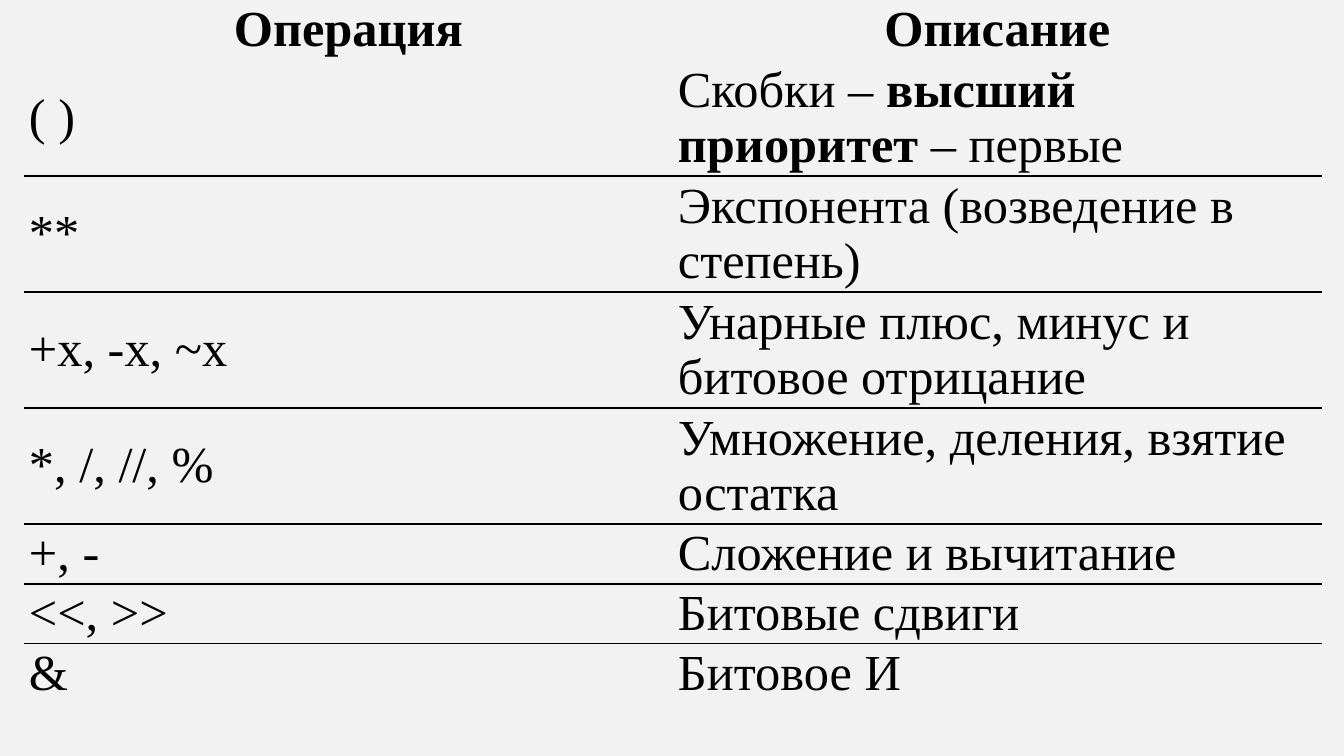
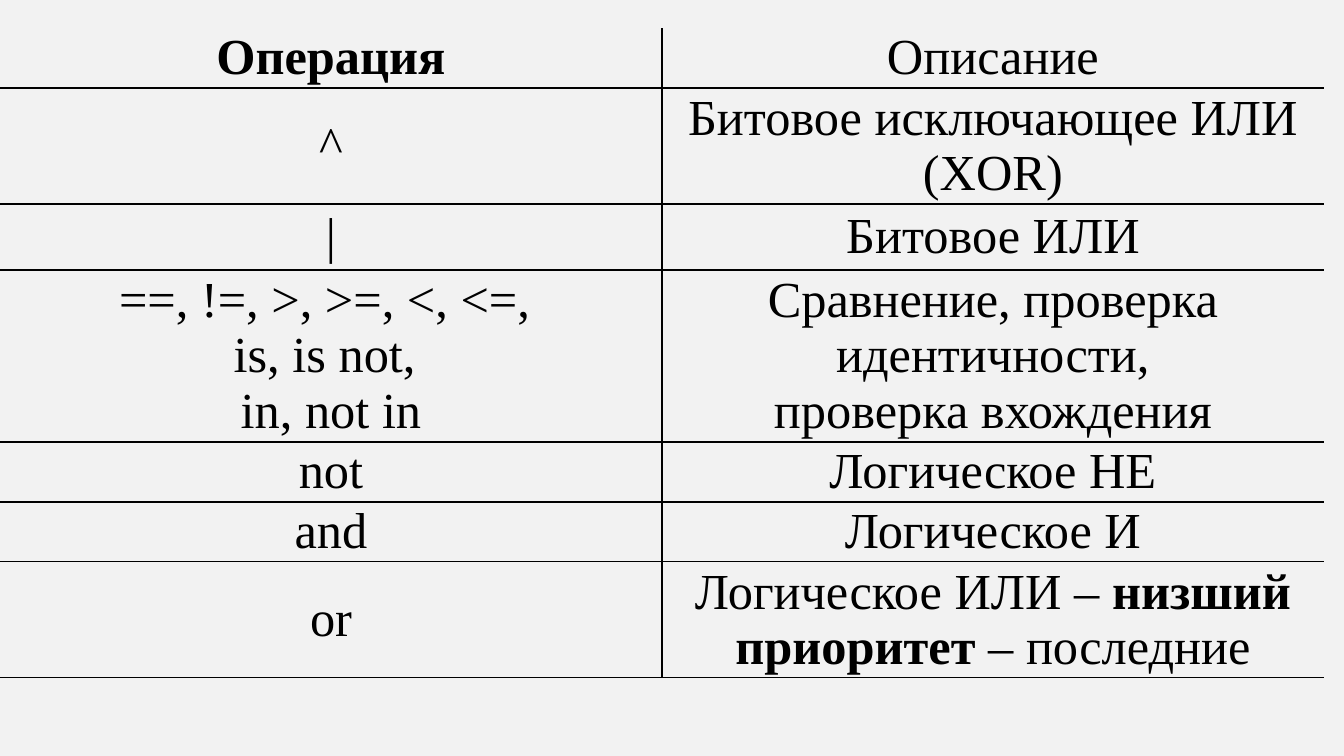
from lxml import etree
from pptx import Presentation
from pptx.dml.color import RGBColor
from pptx.enum.text import MSO_ANCHOR, PP_ALIGN
from pptx.oxml.ns import qn
from pptx.util import Emu, Pt

COLORS = {"back": "F2F2F2", "ink": "000000"}
FONT, SIZE = "Times New Roman", 36
PLAIN_STYLE = "{2D5ABB26-0587-4C30-8999-92F81FD0307C}"
WIDTH, HEIGHT = 1344, 756
ONE, TWO, THREE = 60, 116, 172  # row heights by number of text lines

# A cell is a tuple of runs; every second run is bold. "\n" breaks a line.
TABLES = [
    {
        "at": (24, 0), "column": 649, "align": PP_ALIGN.LEFT,
        "ruled": range(1, 6), "split": False,
        "rows": [
            (ONE, ("", "Операция"), ("", "Описание")),
            (TWO, ("( )",), ("Скобки – ", "высший приоритет", " – первые")),
            (TWO, ("**",), ("Экспонента (возведение в степень)",)),
            (TWO, ("+x, -x, ~x",), ("Унарные плюс, минус и битовое отрицание",)),
            (TWO, ("*, /, //, %",), ("Умножение, деления, взятие остатка",)),
            (ONE, ("+, -",), ("Сложение и вычитание",)),
            (ONE, ("<<, >>",), ("Битовые сдвиги",)),
            (ONE, ("&",), ("Битовое И",)),
        ],
    },
    {
        "at": (0, 28), "column": 662, "align": PP_ALIGN.CENTER,
        "ruled": range(7), "split": True,
        "rows": [
            (ONE, ("", "Операция"), ("Описание",)),
            (TWO, ("^",), ("Битовое исключающее ИЛИ (XOR)",)),
            (66, ("|",), ("Битовое ИЛИ",)),
            (THREE, ("==, !=, >, >=, <, <=, \nis, is not, \nin, not in",),
             ("Сравнение, проверка идентичности,\nпроверка вхождения",)),
            (ONE, ("not",), ("Логическое НЕ",)),
            (ONE, ("and",), ("Логическое И",)),
            (TWO, ("or",),
             ("Логическое ИЛИ – ", "низший приоритет", " – последние")),
        ],
    },
]


def px(length):
    return Emu(round(length * 914400 / 100.8))


def rgb(name):
    return RGBColor.from_string(COLORS[name])


def add_run(para, text, bold):
    run = para.add_run()
    run.text = text
    font = run.font
    font.name, font.size, font.bold = FONT, Pt(SIZE), bold
    font.color.rgb = rgb("ink")


def write(cell, runs, align):
    cell.fill.background()
    cell.vertical_anchor = MSO_ANCHOR.MIDDLE
    cell.margin_left = cell.margin_right = px(5)
    cell.margin_top = cell.margin_bottom = px(2)
    para = cell.text_frame.paragraphs[0]
    para.alignment = align
    for order, text in enumerate(runs):
        for number, line in enumerate(text.split("\n")):
            if number:
                para.add_line_break()
            if line:
                add_run(para, line, order % 2 == 1)


def add_borders(cell, sides):
    """Draw the given sides, listed in the order L, R, T, B."""
    props = cell._tc.get_or_add_tcPr()
    for place, side in enumerate(sides):
        line = etree.Element(qn("a:ln" + side), w=str(Pt(1)))
        fill = etree.SubElement(line, qn("a:solidFill"))
        etree.SubElement(fill, qn("a:srgbClr"), val=COLORS["ink"])
        props.insert(place, line)


def add_grid(slide, spec_of):
    rows, column = spec_of["rows"], spec_of["column"]
    left, top = spec_of["at"]
    total = sum(row[0] for row in rows)
    frame = slide.shapes.add_table(
        len(rows), 2, px(left), px(top), px(2 * column), px(total))
    table = frame.table
    table.first_row = table.horz_banding = False
    table._tbl.tblPr.find(qn("a:tableStyleId")).text = PLAIN_STYLE
    for col in table.columns:
        col.width = px(column)
    for r, (height, *cells) in enumerate(rows):
        table.rows[r].height = px(height)
        for c, runs in enumerate(cells):
            cell = table.cell(r, c)
            write(cell, runs, spec_of["align"] if r else PP_ALIGN.CENTER)
            sides = "LR"[1 - c] if spec_of["split"] else ""
            sides += "T" if r - 1 in spec_of["ruled"] else ""
            sides += "B" if r in spec_of["ruled"] else ""
            add_borders(cell, sides)


def main():
    deck = Presentation()
    deck.slide_width, deck.slide_height = px(WIDTH), px(HEIGHT)
    for grid in TABLES:
        slide = deck.slides.add_slide(deck.slide_layouts[6])
        slide.background.fill.solid()
        slide.background.fill.fore_color.rgb = rgb("back")
        add_grid(slide, grid)
    deck.save("out.pptx")


if __name__ == "__main__":
    main()
